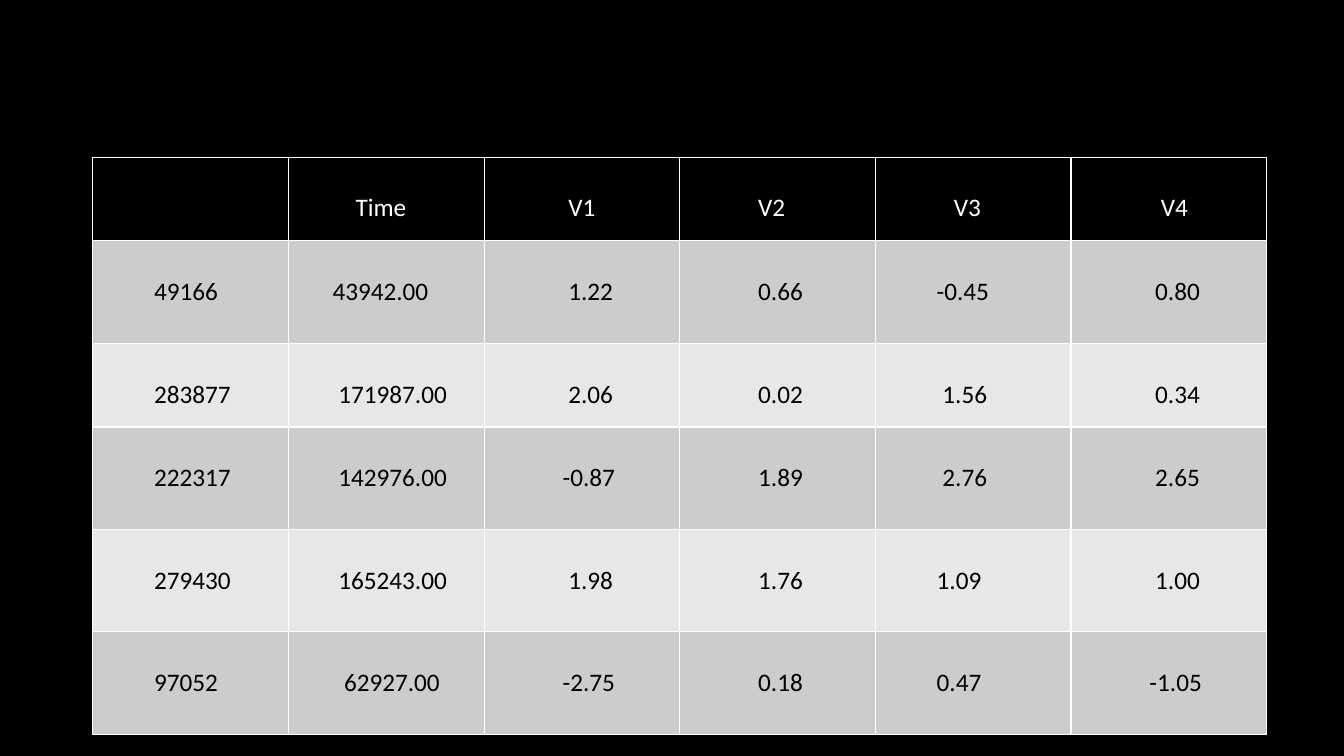
from lxml import etree
from pptx import Presentation
from pptx.dml.color import RGBColor
from pptx.enum.text import MSO_ANCHOR
from pptx.oxml.ns import qn
from pptx.util import Cm, Pt

TOP = MSO_ANCHOR.TOP

HEADINGS = ["", "Time", "V1", "V2", "V3", "V4"]
TRANSACTIONS = [
    ["49166", "43942.00", "1.22", "0.66", "-0.45", "0.80"],
    ["283877", "171987.00", "2.06", "0.02", "1.56", "0.34"],
    ["222317", "142976.00", "-0.87", "1.89", "2.76", "2.65"],
    ["279430", "165243.00", "1.98", "1.76", "1.09", "1.00"],
    ["97052", "62927.00", "-2.75", "0.18", "0.47", "-1.05"],
]
INDENT_STEPS = [
    [9, 10, 13, 12, 12, 14],
    [9, 6, 13, 12, 9, 13],
    [9, 7, 13, 12, 10, 13],
    [9, 7, 12, 12, 10, 13],
    [9, 7, 13, 12, 9, 13],
    [9, 8, 12, 12, 9, 12],
]
ROW_HEIGHTS = [2.11, 2.58, 2.11, 2.58, 2.58, 2.58]

THEME = {
    "font": "Calibri",
    "size": Pt(18),
    "background": "000000",
    "heading_text": "FFFFFF",
    "body_text": "000000",
    "heading_fill": "000000",
    "bands": ["CCCCCC", "E7E7E7"],
    "border": "FFFFFF",
    "border_width": Pt(1),
}

LEFT, TABLE_TOP, COLUMN_WIDTH = 2.34, 3.96, 4.93
MARGIN, STEP, TEXT_TOP = 0.25, 0.144, 0.9


def draw_borders(cell):
    properties = cell._tc.get_or_add_tcPr()
    for side in ("a:lnL", "a:lnR", "a:lnT", "a:lnB"):
        line = etree.SubElement(properties, qn(side), w=str(THEME["border_width"]))
        fill = etree.SubElement(line, qn("a:solidFill"))
        etree.SubElement(fill, qn("a:srgbClr"), val=THEME["border"])


def fill_cell(cell, value, steps, fill_color, text_color):
    draw_borders(cell)
    cell.fill.solid()
    cell.fill.fore_color.rgb = RGBColor.from_string(fill_color)
    cell.vertical_anchor = TOP
    cell.margin_left = Cm(MARGIN + steps * STEP)
    cell.margin_top = Cm(TEXT_TOP)
    if value:
        run = cell.text_frame.paragraphs[0].add_run()
        run.text = value
        run.font.name = THEME["font"]
        run.font.size = THEME["size"]
        run.font.bold = False
        run.font.color.rgb = RGBColor.from_string(text_color)


def main():
    presentation = Presentation()
    presentation.slide_width, presentation.slide_height = Cm(33.87), Cm(19.05)
    slide = presentation.slides.add_slide(presentation.slide_layouts[6])
    slide.background.fill.solid()
    slide.background.fill.fore_color.rgb = RGBColor.from_string(THEME["background"])

    rows = [HEADINGS] + TRANSACTIONS
    table = slide.shapes.add_table(
        len(rows), len(HEADINGS), Cm(LEFT), Cm(TABLE_TOP),
        Cm(COLUMN_WIDTH * len(HEADINGS)), Cm(sum(ROW_HEIGHTS))).table
    table.first_row = table.horz_banding = False
    for column in table.columns:
        column.width = Cm(COLUMN_WIDTH)

    for row, (values, steps, height) in enumerate(zip(rows, INDENT_STEPS, ROW_HEIGHTS)):
        table.rows[row].height = Cm(height)
        if row == 0:
            colors = THEME["heading_fill"], THEME["heading_text"]
        else:
            colors = THEME["bands"][(row - 1) % 2], THEME["body_text"]
        for column, value in enumerate(values):
            fill_cell(table.cell(row, column), value, steps[column], *colors)

    presentation.save("out.pptx")


if __name__ == "__main__":
    main()
